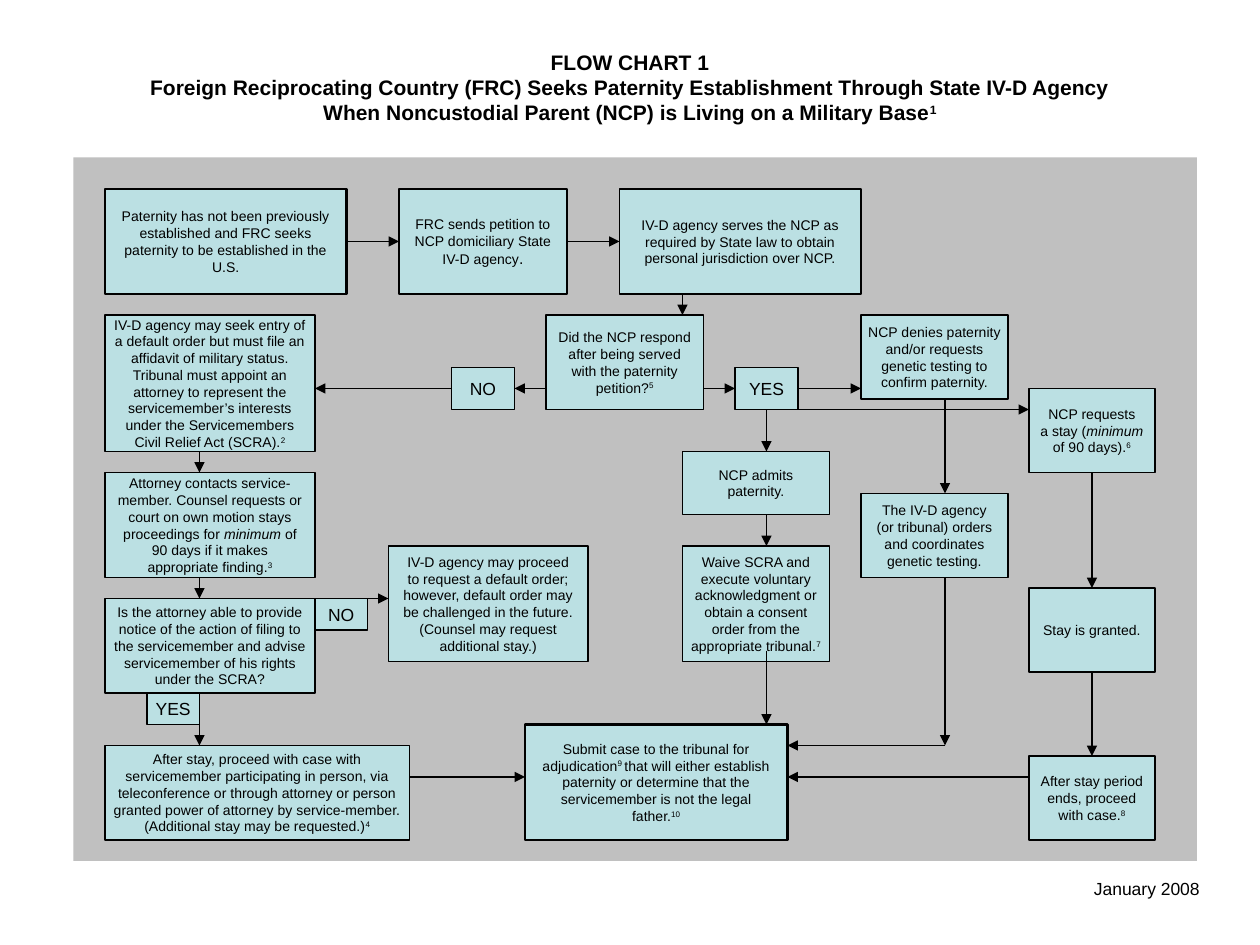
from typing import NamedTuple

from lxml.etree import SubElement
from pptx import Presentation
from pptx.dml.color import RGBColor
from pptx.enum.shapes import MSO_CONNECTOR, MSO_SHAPE
from pptx.enum.text import MSO_ANCHOR, MSO_AUTO_SIZE, PP_ALIGN
from pptx.oxml.ns import qn
from pptx.util import Inches, Pt

BLACK = RGBColor(0x00, 0x00, 0x00)
PANEL_GRAY = RGBColor(0xC0, 0xC0, 0xC0)
BOX_BLUE = RGBColor(0xBB, 0xE0, 0xE3)

WIDTH, HEIGHT = Inches(10), Inches(7.5)
COLUMNS, ROWS = 120, 90
THIN, THICK = 0.75, 1.5

# A text is cut into pieces at "|"; the first character of a piece may name its style.
PIECE_STYLES = {"^": {"superscript": True}, "*": {"italic": True}, "+": {"size": Pt(9)}}


class Box(NamedTuple):
    """A flow chart step; left, top, width and height are grid columns and rows."""
    left: float
    top: float
    width: float
    height: float
    text: str
    inset: float = 0.1
    size: float = 8
    line: float = THIN
    wrap: bool = True


class Arrow(NamedTuple):
    """A straight arrow between two grid points."""
    start: tuple
    end: tuple


def answer(left: float, top: float, width: float, height: float, text: str) -> Box:
    return Box(left, top, width, height, text, size=10, wrap=False)


TITLE = ("FLOW CHART 1\v"
         "Foreign Reciprocating Country (FRC) Seeks Paternity Establishment Through State IV-D Agency\v"
         "When Noncustodial Parent (NCP) is Living on a Military Base|^1")

BOXES = [
    Box(10, 18, 23, 10, "Paternity has not been previously established and FRC seeks "
        "paternity to be established in the U.S.", line=THICK),
    Box(38, 18, 16, 10, "FRC sends petition to NCP domiciliary State IV-D agency|+."),
    Box(59, 18, 23, 10, "IV-D agency serves the NCP as required by State law to obtain "
        "personal jurisdiction over NCP."),
    Box(52, 30, 15, 9, "Did the NCP respond after being served with the paternity petition?|^5"),
    answer(43, 35, 6, 4, "NO"),
    answer(70, 35, 6, 4, "YES"),
    Box(50, 69, 25, 11, "Submit case to the tribunal for adjudication|^9 |that will either "
        "establish paternity or determine that the servicemember is not the legal father.|^10",
        line=THICK),
    Box(10, 30, 20, 13, "IV-D agency may seek entry of a default order but must file an "
        "affidavit of military status. Tribunal must appoint an attorney to represent the "
        "servicemember’s interests under the Servicemembers Civil Relief Act (SCRA).|^2", 0.05),
    Box(10, 45, 20, 10, "Attorney contacts service-member. Counsel requests or court on own "
        "motion stays proceedings for |*minimum| of 90 days if it makes appropriate finding.|^3"),
    Box(10, 57, 20, 9, "Is the attorney able to provide notice of the action of filing to the "
        "servicemember and advise servicemember of his rights under the SCRA?", 0.05),
    Box(37, 52, 19, 11, "IV-D agency may proceed to request a default order; however, default "
        "order may be challenged in the future. (Counsel may request additional stay.)"),
    Box(65, 43, 14, 6, "NCP admits paternity."),
    Box(98, 37, 12, 8, "NCP requests\na stay (|*minimum\nof 90 days).|^6", 0.05),
    Box(98, 56, 12, 8, "Stay is granted."),
    Box(98, 72, 12, 8, "After stay period\nends, proceed\nwith case.|^8", 0.05),
    Box(82, 47, 14, 8, "The IV-D agency\n(or tribunal) orders\nand coordinates\n"
        "genetic testing.", 0.05),
    Box(65, 52, 14, 11, "Waive SCRA and execute voluntary\nacknowledgment or obtain a consent "
        "order from the appropriate tribunal.|^7", 0.03),
    answer(14, 66, 5, 3, "YES"),
    answer(30, 57, 5, 3, "NO"),
    Box(82, 30, 14, 8, "NCP denies paternity and/or requests genetic testing to confirm "
        "paternity.", 0.05),
    Box(10, 71, 29, 9, "After stay, proceed with case with servicemember participating in "
        "person, via teleconference or through attorney or person granted power of attorney by "
        "service-member. (Additional stay may be requested.)|^4", 0.05),
]

ARROWS = [
    Arrow((65, 28), (65, 30)),
    Arrow((33, 23), (38, 23)),
    Arrow((54, 23), (59, 23)),
    Arrow((52, 37), (49, 37)),
    Arrow((67, 37), (70, 37)),
    Arrow((43, 37), (30, 37)),
    Arrow((76, 37), (82, 37)),
    Arrow((19, 43), (19, 45)),
    Arrow((73, 39), (73, 43)),
    Arrow((76, 39), (98, 39)),
    Arrow((90, 38), (90, 47)),
    Arrow((104, 45), (104, 56)),
    Arrow((104, 64), (104, 72)),
    Arrow((19, 55), (19, 57)),
    Arrow((30, 57), (37, 57)),
    Arrow((39, 74), (50, 74)),
    Arrow((98, 74), (75, 74)),
    Arrow((73, 62), (73, 69)),
    Arrow((73, 49), (73, 52)),
    Arrow((90, 71), (75, 71)),
    Arrow((90, 55), (90, 71)),
    Arrow((19, 66), (19, 71)),
]


def x(column: float) -> int:
    return round(WIDTH * column / COLUMNS)


def y(row: float) -> int:
    return round(HEIGHT * row / ROWS)


def set_all(target, values: dict) -> None:
    for name, value in values.items():
        setattr(target, name, value)


def write(frame, text: str, size: float, bold: bool = False, align=PP_ALIGN.CENTER) -> None:
    """Fill a text frame: a new line starts a paragraph, a vertical tab breaks a line."""
    for index, line in enumerate(text.split("\n")):
        paragraph = frame.add_paragraph() if index else frame.paragraphs[0]
        paragraph.alignment = align
        for piece in line.split("|"):
            style = dict(PIECE_STYLES.get(piece[0], {}))
            superscript = style.pop("superscript", False)
            words = piece[1:] if piece[0] in PIECE_STYLES else piece
            for part_index, part in enumerate(words.split("\v")):
                if part_index:
                    paragraph.add_line_break()
                run = paragraph.add_run()
                run.text = part
                set_all(run.font, {"name": "Arial", "size": Pt(size), "bold": bold, **style})
                run.font.color.rgb = BLACK
                if superscript:
                    run._r.get_or_add_rPr().set("baseline", "30000")


def add_rectangle(slide, left: float, top: float, width: float, height: float, fill: RGBColor):
    shape = slide.shapes.add_shape(MSO_SHAPE.RECTANGLE, x(left), y(top), x(width), y(height))
    shape.shadow.inherit = False
    shape.fill.solid()
    shape.fill.fore_color.rgb = fill
    shape.line.fill.background()
    return shape


def add_box(slide, box: Box):
    shape = add_rectangle(slide, *box[:4], BOX_BLUE)
    shape.line.color.rgb = BLACK
    shape.line.width = Pt(box.line)
    set_all(shape.text_frame, {
        "margin_left": Inches(box.inset), "margin_right": Inches(box.inset),
        "vertical_anchor": MSO_ANCHOR.MIDDLE, "word_wrap": box.wrap})
    write(shape.text_frame, box.text, box.size)
    return shape


def side_middles(box: Box) -> list:
    """Middles of the sides in connection site order: top, left, bottom, right."""
    left, top, width, height = box[:4]
    center, middle = left + width / 2, top + height / 2
    return [(center, top), (left, middle), (center, top + height), (left + width, middle)]


def add_arrow(slide, arrow: Arrow, sites: dict) -> None:
    (x1, y1), (x2, y2) = arrow
    connector = slide.shapes.add_connector(MSO_CONNECTOR.STRAIGHT, x(x1), y(y1), x(x2), y(y2))
    connector.line.color.rgb = BLACK
    connector.line.width = Pt(THIN)
    SubElement(connector.line._get_or_add_ln(), qn("a:tailEnd"), type="triangle")
    SubElement(connector._element.spPr, qn("a:effectLst"))
    if arrow.start in sites:
        connector.begin_connect(*sites[arrow.start])
    if arrow.end in sites:
        connector.end_connect(*sites[arrow.end])


def main() -> None:
    presentation = Presentation()
    set_all(presentation, {"slide_width": WIDTH, "slide_height": HEIGHT})
    slide = presentation.slides.add_slide(presentation.slide_layouts[5])

    title = slide.shapes.title
    set_all(title, {"left": x(6), "top": y(3.6), "width": x(108), "height": y(9.4)})
    set_all(title.text_frame, {"auto_size": MSO_AUTO_SIZE.NONE,
                               "vertical_anchor": MSO_ANCHOR.MIDDLE})
    write(title.text_frame, TITLE, 12, bold=True)

    add_rectangle(slide, 7, 15, 107, 67, PANEL_GRAY)
    date = slide.shapes.add_textbox(x(103), y(83), x(15), y(3.2))
    date.text_frame.word_wrap = True
    write(date.text_frame, "January 2008", 10, align=PP_ALIGN.LEFT)

    sites = {}
    for box in BOXES:
        shape = add_box(slide, box)
        for site, point in enumerate(side_middles(box)):
            sites[point] = (shape, site)
    for arrow in ARROWS:
        add_arrow(slide, arrow, sites)

    presentation.save("out.pptx")


if __name__ == "__main__":
    main()
